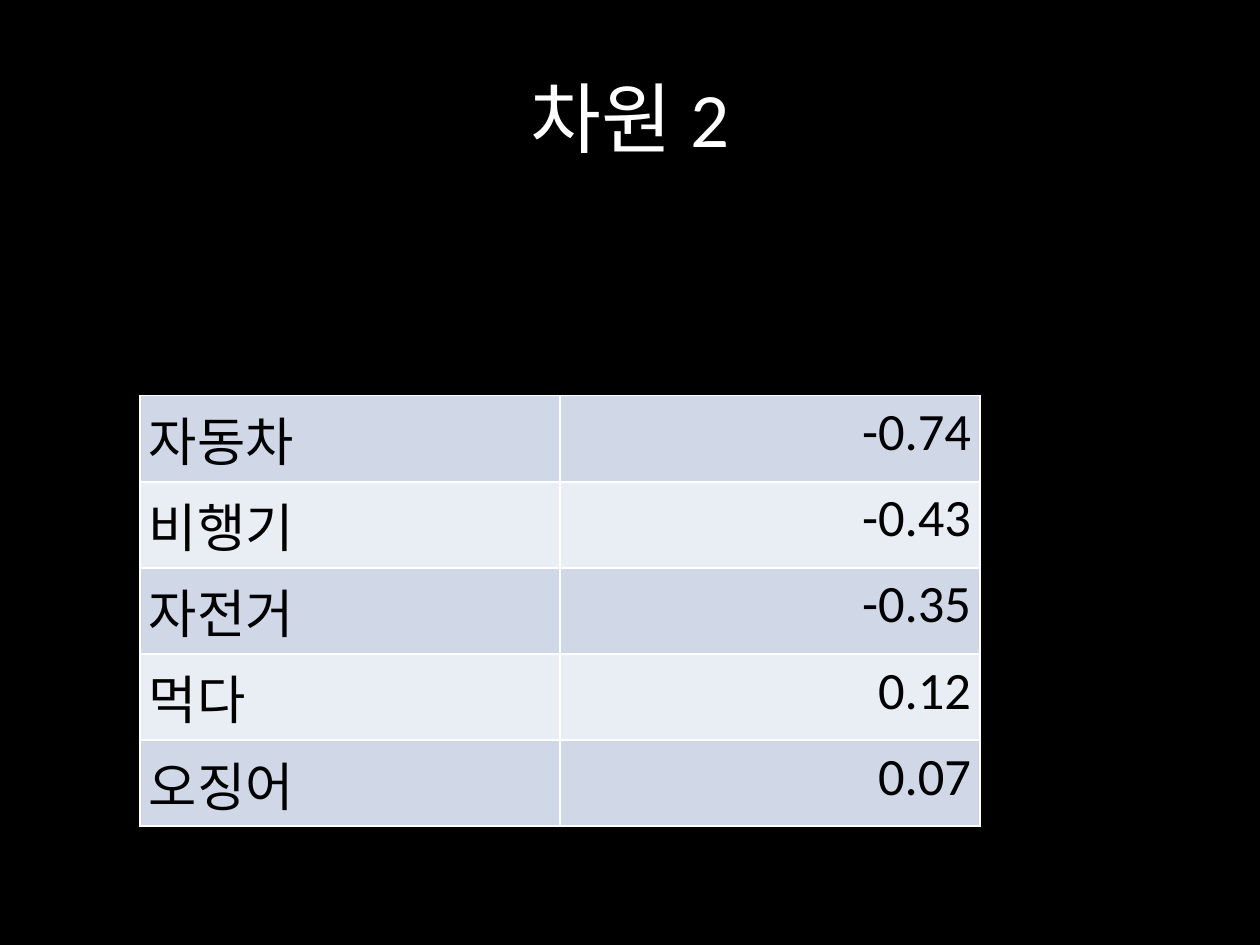
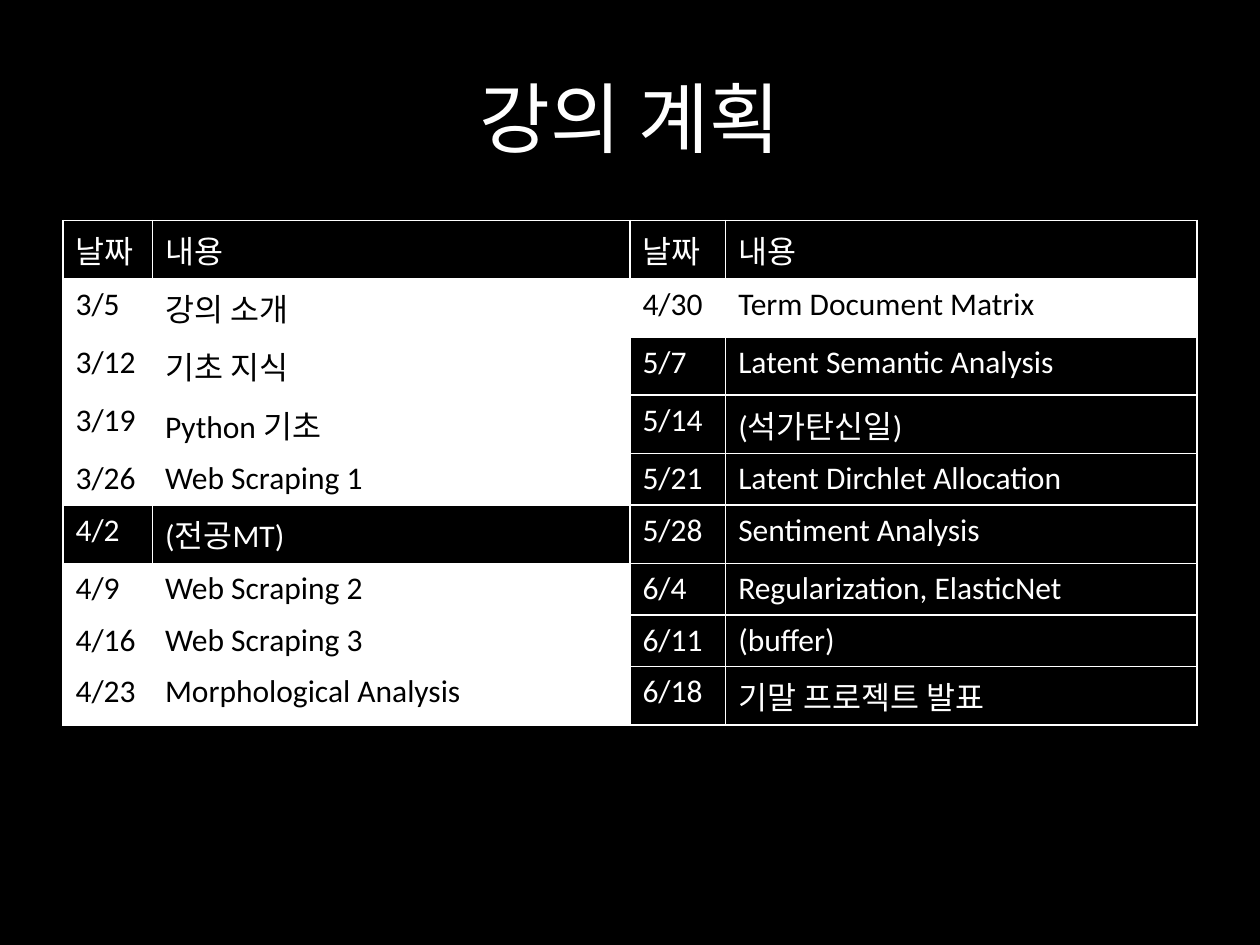
from lxml.etree import SubElement
from pptx import Presentation
from pptx.dml.color import RGBColor
from pptx.enum.text import MSO_ANCHOR as Anchor, PP_ALIGN as Align
from pptx.oxml.ns import qn
from pptx.util import Inches, Pt

BLACK = RGBColor(0x00, 0x00, 0x00)
WHITE = RGBColor(0xFF, 0xFF, 0xFF)
BLUE_BAND = RGBColor(0xD0, 0xD8, 0xE8)
PALE_BAND = RGBColor(0xE9, 0xED, 0xF4)
FONT = "Calibri"
TITLE_ONLY = 5
SLIDE_WIDTH, SLIDE_HEIGHT = Inches(10), Inches(7.5)
MARGIN = SLIDE_WIDTH // 20

LOADINGS = [
    ("자동차", "-0.74"),
    ("비행기", "-0.43"),
    ("자전거", "-0.35"),
    ("먹다", "0.12"),
    ("오징어", "0.07"),
]
SCHEDULE = [
    ("날짜", "내용", "날짜", "내용"),
    ("3/5", "강의 소개", "4/30", "Term Document Matrix"),
    ("3/12", "기초 지식", "5/7", "Latent Semantic Analysis"),
    ("3/19", "Python 기초", "5/14", "(석가탄신일)"),
    ("3/26", "Web Scraping 1", "5/21", "Latent Dirchlet Allocation"),
    ("4/2", "(전공MT)", "5/28", "Sentiment Analysis"),
    ("4/9", "Web Scraping 2", "6/4", "Regularization, ElasticNet"),
    ("4/16", "Web Scraping 3", "6/11", "(buffer)"),
    ("4/23", "Morphological Analysis", "6/18", "기말 프로젝트 발표"),
]
HIGHLIGHTED_DATES = {"3/5", "3/12", "3/19", "3/26", "4/9", "4/16", "4/23", "4/30"}


def write(para, text, size, color, align=Align.LEFT):
    para.alignment = align
    span = para.add_run()
    span.text = text
    span.font.name = FONT
    span.font.size = Pt(size)
    span.font.color.rgb = color


def add_page(deck, title):
    page = deck.slides.add_slide(deck.slide_layouts[TITLE_ONLY])
    box = page.shapes.title
    box.left, box.top = MARGIN, SLIDE_HEIGHT // 25
    box.width, box.height = SLIDE_WIDTH - 2 * MARGIN, SLIDE_HEIGHT // 6
    box.text_frame.vertical_anchor = Anchor.MIDDLE
    write(box.text_frame.paragraphs[0], title, 44, WHITE, Align.CENTER)
    return page


def add_grid(page, left, top, column_widths, row_height, row_count):
    """Add an unstyled table with the given column widths and equal rows."""
    frame = page.shapes.add_table(row_count, len(column_widths), left, top,
                                  sum(column_widths), row_height * row_count)
    table = frame.table
    table.first_row = table.horz_banding = False
    for column, width in zip(table.columns, column_widths):
        column.width = width
    return table


def add_borders(cell):
    properties = cell._tc.get_or_add_tcPr()
    for side in ("lnL", "lnR", "lnT", "lnB"):
        line = SubElement(properties, qn(f"a:{side}"), w=str(Pt(1)))
        fill = SubElement(line, qn("a:solidFill"))
        SubElement(fill, qn("a:srgbClr"), val=str(WHITE))


def fill_cell(cell, text, size, color, fill=None, align=Align.LEFT):
    add_borders(cell)
    if fill is None:
        cell.fill.background()
    else:
        cell.fill.solid()
        cell.fill.fore_color.rgb = fill
    write(cell.text_frame.paragraphs[0], text, size, color, align)


def add_loadings(page):
    widths = [SLIDE_WIDTH // 3] * 2
    table = add_grid(page, SLIDE_WIDTH // 9, Inches(3.14), widths,
                     Inches(0.57), len(LOADINGS))
    for row, (word, loading) in enumerate(LOADINGS):
        band = PALE_BAND if row % 2 else BLUE_BAND
        word_cell, loading_cell = table.cell(row, 0), table.cell(row, 1)
        for cell in (word_cell, loading_cell):
            cell.margin_left = cell.margin_right = Inches(0.07)
            cell.margin_top = cell.margin_bottom = Inches(0.04)
        fill_cell(word_cell, word, 30, BLACK, band)
        fill_cell(loading_cell, loading, 30, BLACK, band, Align.RIGHT)


def add_schedule(page):
    widths = [Inches(width) for width in (0.71, 3.79, 0.76, 3.74)]
    table = add_grid(page, MARGIN, Inches(1.75), widths,
                     Inches(0.41), len(SCHEDULE))
    for row, entries in enumerate(SCHEDULE):
        for column, text in enumerate(entries):
            date = entries[column - column % 2]
            highlighted = date in HIGHLIGHTED_DATES
            color, fill = (BLACK, WHITE) if highlighted else (WHITE, None)
            fill_cell(table.cell(row, column), text, 18, color, fill)


def main():
    deck = Presentation()
    deck.slide_width, deck.slide_height = SLIDE_WIDTH, SLIDE_HEIGHT
    background = deck.slide_master.background.fill
    background.solid()
    background.fore_color.rgb = BLACK

    add_loadings(add_page(deck, "차원 2"))
    add_schedule(add_page(deck, "강의 계획"))
    deck.save("out.pptx")


if __name__ == "__main__":
    main()
